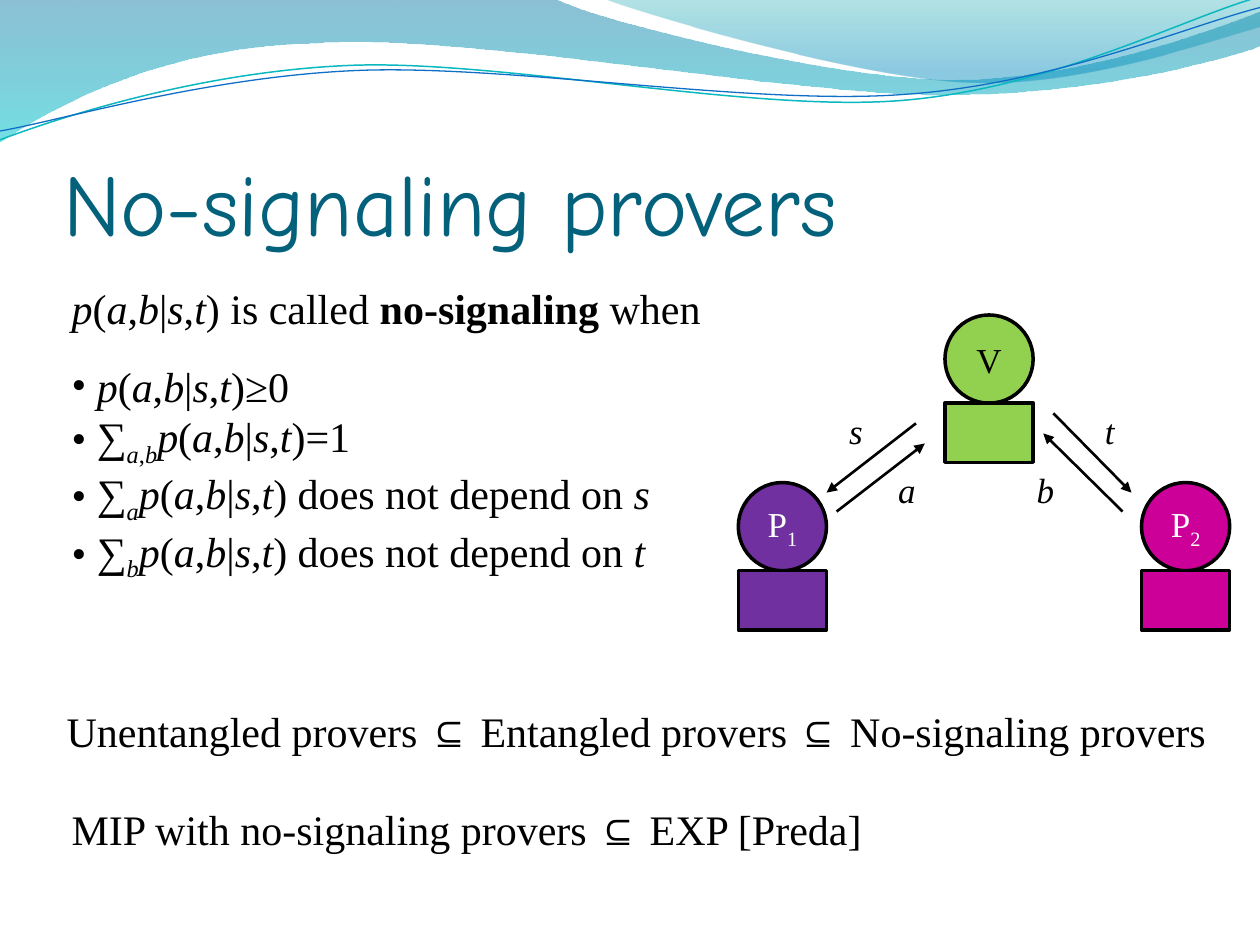
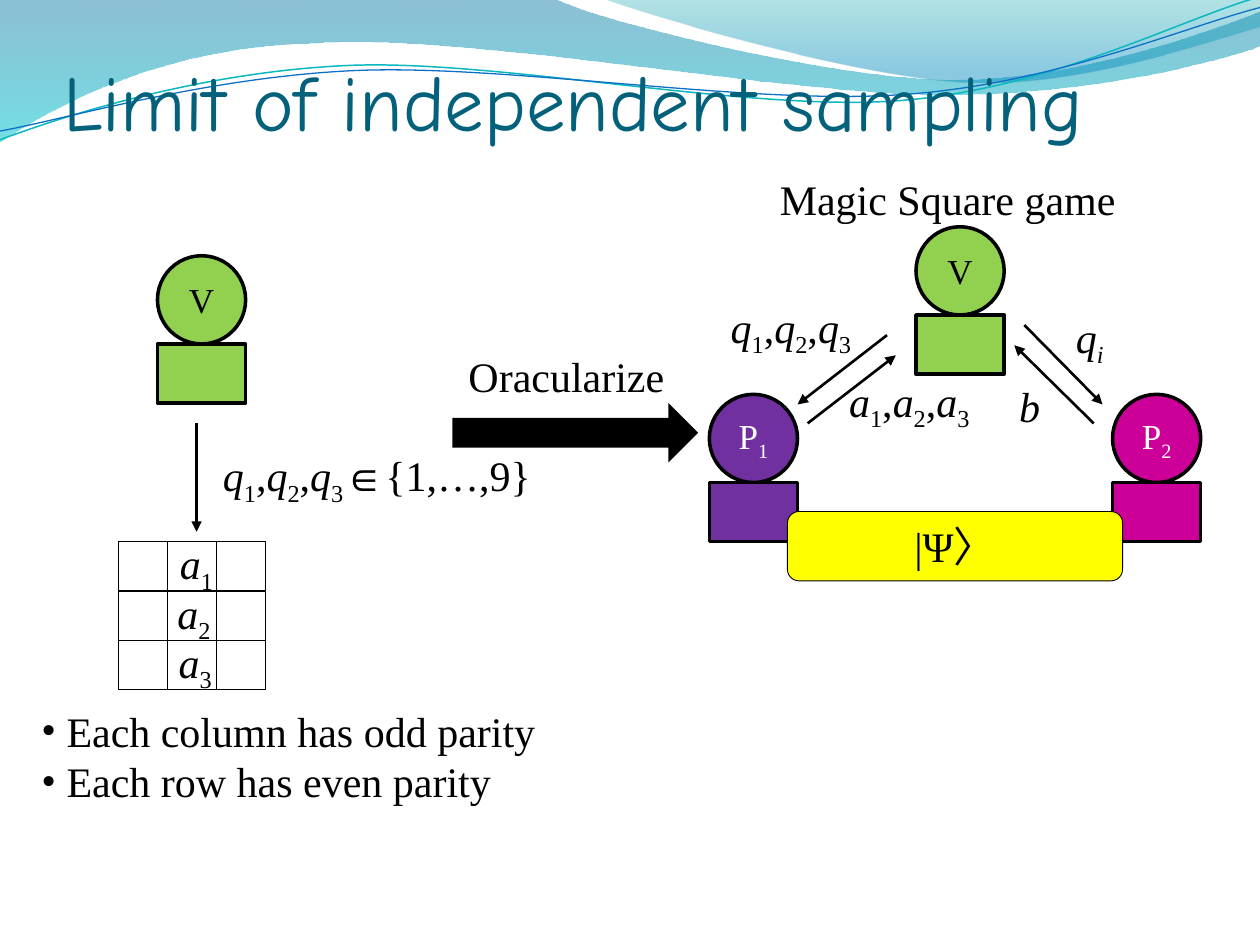
"""Build two slides on no-signaling provers and the limit of independent sampling."""
from dataclasses import dataclass
from typing import Any, NamedTuple

from lxml import etree
from pptx import Presentation
from pptx.dml.color import RGBColor
from pptx.enum import shapes, text
from pptx.oxml import ns
from pptx.util import Inches, Pt

BLACK = RGBColor(0x00, 0x00, 0x00)
WHITE = RGBColor(0xFF, 0xFF, 0xFF)
GREEN = RGBColor(0x92, 0xD0, 0x50)
PURPLE = RGBColor(0x70, 0x30, 0xA0)
MAGENTA = RGBColor(0xCC, 0x00, 0x99)
YELLOW = RGBColor(0xFF, 0xFF, 0x00)
TITLE_BLUE = RGBColor(0x04, 0x61, 0x7B)
WAVE_BLUE = RGBColor(0x00, 0x74, 0xA1)
WAVE_AQUA = RGBColor(0x00, 0xC6, 0xCF)
CREST_TEAL = RGBColor(0x00, 0xA1, 0xA9)
CREST_BLUE = RGBColor(0x00, 0x8B, 0xBF)
LINE_TEAL = RGBColor(0x0A, 0xB8, 0xBF)
LINE_BLUE = RGBColor(0x0F, 0x6F, 0xC6)

BODY_FONT = "Times New Roman"
TITLE_FONT = "Comic Neue"
CELL = 0.39
HEAD = 0.7
BODY = 0.47
BULLET_INDENT = 0.2
FIT_TEXT = {"word_wrap": False, "auto_size": text.MSO_AUTO_SIZE.SHAPE_TO_FIT_TEXT}
CENTERED = {"vertical_anchor": text.MSO_ANCHOR.MIDDLE}
TITLE_FRAME = {"vertical_anchor": text.MSO_ANCHOR.BOTTOM, "word_wrap": True,
               "auto_size": text.MSO_AUTO_SIZE.NONE, "margin_left": 0,
               "margin_top": Inches(0.05), "margin_right": 0, "margin_bottom": 0}


class GradientStop(NamedTuple):
    """A colour at a position, with its opacity in percent."""
    position: float
    color: RGBColor
    opacity: int


@dataclass(frozen=True)
class Wave:
    """An outline of points; each segment is one point (line) or three (curve)."""
    start: tuple[float, float]
    segments: list[tuple[float, ...]]
    stops: tuple[GradientStop, ...] = ()
    color: RGBColor | None = None
    width: float = 0


@dataclass(frozen=True)
class Person:
    """A verifier or prover: a labelled head on a body."""
    label: str
    fill: RGBColor
    ink: RGBColor
    dx: float = 0
    dy: float = 0


class Arrow(NamedTuple):
    """A message from one point to another."""
    x1: float
    y1: float
    x2: float
    y2: float


class Label(NamedTuple):
    """Marked-up lines at a place: * italic, _ subscript, ^ bold."""
    left: float
    top: float
    width: float
    lines: tuple[str, ...]
    size: int = 24
    bulleted: bool = False


WAVES = (
    Wave((0, 0), [(4.4, -0.01), (4.76, 0.17, 6.64, 0.63, 7.58, 0.63),
                  (8.53, 0.63, 9.58, 0.26, 10, 0.09), (10.01, 0.36),
                  (9.83, 0.44, 8.7, 0.76, 7.46, 0.75), (6.22, 0.75, 3.82, 0.28, 2.57, 0.34),
                  (1.29, 0.36, 0.46, 0.83, -0.01, 1.13), (0, 0)],
         stops=(GradientStop(0, WAVE_BLUE, 45), GradientStop(1, WAVE_AQUA, 55))),
    Wave((4.79, -0.01), [(5.09, 0.11, 6.82, 0.62, 7.69, 0.65),
                         (8.56, 0.69, 9.61, 0.32, 10, 0.21), (10, 0), (4.79, -0.01)],
         stops=(GradientStop(0, CREST_TEAL, 30), GradientStop(0.8, CREST_BLUE, 45))),
    Wave((0, 1.11), [(0.48, 0.93, 1.58, 0.57, 2.77, 0.52), (3.95, 0.47, 5.93, 0.89, 7.13, 0.8),
                     (8.33, 0.71, 9.38, 0.15, 9.98, -0.02)], color=LINE_TEAL, width=0.85),
    Wave((0, 1.04), [(0.47, 0.96, 1.64, 0.61, 2.83, 0.56), (4.03, 0.51, 5.97, 0.84, 7.17, 0.75),
                     (8.36, 0.67, 9.41, 0.21, 10, 0.06)], color=LINE_BLUE, width=0.75),
)
VERIFIER = Person("V", GREEN, BLACK)
PLAYERS = (VERIFIER, Person("P_1_", PURPLE, WHITE, -1.64, 1.33),
           Person("P_2_", MAGENTA, WHITE, 1.56, 1.33))
MESSAGES = (Arrow(-0.23, 0.86, -0.94, 1.41), Arrow(0.86, 0.78, 1.48, 1.41),
            Arrow(-0.86, 1.56, -0.16, 1.02), Arrow(1.41, 1.56, 0.78, 0.94))
STRATEGY = "*p*(*a*,*b*|*s*,*t*)"
QUESTIONS = "*q*_1_,*q*_2_,*q*_3_"

NO_SIGNALING_LABELS = (
    Label(6.64, 3.2, 0.31, ("*s*",), 20),
    Label(8.67, 3.2, 0.28, ("*t*",), 20),
    Label(7.03, 3.67, 0.34, ("*a*",), 20),
    Label(8.13, 3.67, 0.34, ("*b*",), 20),
    Label(0.47, 2.19, 5.24, (f"{STRATEGY} is called ^no-signaling^ when",)),
    Label(0.47, 2.81, 4.87, (f"{STRATEGY}≥0", f"∑_*a*,*b*_{STRATEGY}=1",
                             f"∑_*a*_{STRATEGY} does not depend on *s*",
                             f"∑_*b*_{STRATEGY} does not depend on *t*"), bulleted=True),
    Label(0.47, 6.33, 6.53, ("MIP with no-signaling provers ⊆ EXP [Preda]",)),
    Label(0.43, 5.55, 9.41, ("Unentangled provers ⊆ Entangled provers ⊆ No-signaling provers",)),
)
SAMPLING_LABELS = (
    Label(5.7, 2.34, 1.21, (QUESTIONS,)),
    Label(8.44, 2.42, 0.43, ("*q*_*i*_",)),
    Label(6.64, 2.93, 1.21, ("*a*_1_,*a*_2_,*a*_3_",)),
    Label(7.99, 2.97, 0.37, ("*b*",)),
    Label(6.09, 1.33, 2.89, ("Magic Square game",)),
    Label(1.33, 4.22, 0.48, ("*a*_1_",)),
    Label(1.31, 4.61, 0.48, ("*a*_2_",)),
    Label(1.32, 5, 0.48, ("*a*_3_",)),
    Label(3.62, 2.73, 1.77, ("Oracularize",)),
    Label(1.67, 3.52, 2.71, (f"{QUESTIONS}∈{{1,…,9}}",)),
    Label(0.23, 5.55, 4.16, ("Each column has odd parity", "Each row has even parity"),
          bulleted=True),
)


def apply_format(target: Any, values: dict[str, Any]) -> None:
    """Set each named attribute of the target."""
    for name, value in values.items():
        setattr(target, name, value)


def write_line(paragraph: Any, markup: str, size: int, color: RGBColor,
               font: str = BODY_FONT) -> None:
    """Write marked-up words as runs."""
    styles = {"*": False, "_": False, "^": False}
    words = ""
    for symbol in markup + "^":
        if symbol not in styles:
            words += symbol
            continue
        if words:
            run = paragraph.add_run()
            run.text = words
            apply_format(run.font, {"name": font, "size": Pt(size),
                                    "italic": styles["*"], "bold": styles["^"]})
            run.font.color.rgb = color
            if styles["_"]:
                run.font._element.set("baseline", "-25000")
        words = ""
        styles[symbol] = not styles[symbol]


def add_bullets(shape: Any) -> None:
    """Give every paragraph of the shape a hanging bullet."""
    for paragraph in shape.element.iter(ns.qn("a:p")):
        properties = paragraph.get_or_add_pPr()
        properties.set("marL", str(Inches(BULLET_INDENT)))
        properties.set("indent", str(-Inches(BULLET_INDENT)))
        etree.SubElement(properties, ns.qn("a:buFont")).set("typeface", BODY_FONT)
        etree.SubElement(properties, ns.qn("a:buChar")).set("char", "•")


def add_label(slide: Any, label: Label) -> None:
    """Add a text box that fits its lines."""
    height = 0.1 + 0.4 * len(label.lines)
    box = slide.shapes.add_textbox(*map(Inches, (label.left, label.top, label.width, height)))
    frame = box.text_frame
    apply_format(frame, FIT_TEXT)
    for index, line in enumerate(label.lines):
        paragraph = frame.add_paragraph() if index else frame.paragraphs[0]
        write_line(paragraph, line, label.size, BLACK)
    if label.bulleted:
        add_bullets(box)


def add_block(parent: Any, kind: Any, place: tuple[float, ...], fill: RGBColor | None = None,
              width: float = 0) -> Any:
    """Add a preset shape with an optional fill and black outline."""
    shape = parent.shapes.add_shape(kind, *map(Inches, place))
    shape.shadow.inherit = False
    if fill is None:
        shape.fill.background()
    else:
        shape.fill.solid()
        shape.fill.fore_color.rgb = fill
    if width:
        shape.line.color.rgb = BLACK
        shape.line.width = Pt(width)
    else:
        shape.line.fill.background()
    return shape


def write_centered(shape: Any, markup: str, size: int, color: RGBColor, wrap: bool) -> None:
    """Write one centred line inside a shape."""
    apply_format(shape.text_frame, {**CENTERED, "word_wrap": wrap})
    paragraph = shape.text_frame.paragraphs[0]
    paragraph.alignment = text.PP_ALIGN.CENTER
    write_line(paragraph, markup, size, color)


def add_person(slide: Any, person: Person, left: float, top: float) -> None:
    """Add a grouped head and body, offset from the verifier's corner."""
    x, y = left + person.dx, top + person.dy
    group = slide.shapes.add_group_shape()
    head = add_block(group, shapes.MSO_SHAPE.OVAL, (x, y, HEAD, HEAD), person.fill, 2)
    write_centered(head, person.label, 20, person.ink, False)
    add_block(group, shapes.MSO_SHAPE.RECTANGLE, (x, y + HEAD, HEAD, BODY), person.fill, 2)


def add_arrow(slide: Any, arrow: Arrow, left: float = 0, top: float = 0) -> None:
    """Add a straight arrow with a triangle at its end."""
    ends = (arrow.x1 + left, arrow.y1 + top, arrow.x2 + left, arrow.y2 + top)
    connector = slide.shapes.add_connector(shapes.MSO_CONNECTOR.STRAIGHT, *map(Inches, ends))
    connector.line.color.rgb = BLACK
    connector.line.width = Pt(1.5)
    properties = connector.element.spPr
    etree.SubElement(properties.find(ns.qn("a:ln")), ns.qn("a:tailEnd")).set("type", "triangle")
    etree.SubElement(properties, ns.qn("a:effectLst"))


def add_game(slide: Any, left: float, top: float) -> None:
    """Add a verifier, two provers and their messages."""
    for arrow in MESSAGES:
        add_arrow(slide, arrow, left, top)
    for person in PLAYERS:
        add_person(slide, person, left, top)


def bend(shape: Any, wave: Wave) -> None:
    """Merge each three lines that stand for a curve into one Bézier segment."""
    lines = iter(list(shape.element.iter(ns.qn("a:lnTo"))))
    for segment in wave.segments:
        controls = [next(lines) for _ in range(len(segment) // 2)]
        if len(controls) == 3:
            curve = etree.Element(ns.qn("a:cubicBezTo"))
            controls[0].addprevious(curve)
            for line in controls:
                curve.append(line[0])
                line.getparent().remove(line)


def add_waves(slide: Any, master: Any) -> None:
    """Draw the header waves and place them behind everything on the master."""
    for index, wave in enumerate(WAVES):
        builder = slide.shapes.build_freeform(*map(Inches, wave.start))
        points = [tuple(map(Inches, segment[start:start + 2]))
                  for segment in wave.segments for start in range(0, len(segment), 2)]
        builder.add_line_segments(points, close=bool(wave.stops))
        shape = builder.convert_to_shape()
        bend(shape, wave)
        shape.shadow.inherit = False
        if wave.stops:
            shape.line.fill.background()
            shape.fill.gradient()
            shape.fill.gradient_angle = 270
            for target, stop in zip(shape.fill.gradient_stops, wave.stops):
                target.position = stop.position
                target.color.rgb = stop.color
            for color, stop in zip(shape.element.iter(ns.qn("a:srgbClr")), wave.stops):
                etree.SubElement(color, ns.qn("a:alpha")).set("val", str(stop.opacity * 1000))
        else:
            shape.fill.background()
            shape.line.color.rgb = wave.color
            shape.line.width = Pt(wave.width)
        master.shapes.element.insert(2 + index, shape.element)


def add_titled_slide(presentation: Any, title: str, top: float, size: int) -> Any:
    """Add a slide and style its title."""
    slide = presentation.slides.add_slide(presentation.slide_layouts.get_by_name("Title Only"))
    place = zip(("left", "top", "width", "height"), map(Inches, (0.5, top, 9, 1.25)))
    apply_format(slide.shapes.title, dict(place))
    frame = slide.shapes.title.text_frame
    apply_format(frame, TITLE_FRAME)
    frame.paragraphs[0].alignment = text.PP_ALIGN.LEFT
    write_line(frame.paragraphs[0], title, size, TITLE_BLUE, TITLE_FONT)
    return slide


def main() -> None:
    """Build and save the presentation."""
    presentation = Presentation()
    apply_format(presentation, {"slide_width": Inches(10), "slide_height": Inches(7.5)})
    provers = add_titled_slide(presentation, "No-signaling provers", 0.77, 50)
    add_waves(provers, presentation.slide_master)
    add_game(provers, 7.5, 2.5)
    for label in NO_SIGNALING_LABELS:
        add_label(provers, label)
    sampling = add_titled_slide(presentation, "Limit of independent sampling", -0.08, 45)
    add_game(sampling, 7.27, 1.8)
    add_person(sampling, VERIFIER, 1.25, 2.03)
    add_arrow(sampling, Arrow(1.56, 3.36, 1.56, 4.22))
    for cell in range(9):
        row, column = divmod(cell, 3)
        place = (0.94 + column * CELL, 4.3 + row * CELL, CELL, CELL)
        add_block(sampling, shapes.MSO_SHAPE.RECTANGLE, place, width=0.5)
    add_block(sampling, shapes.MSO_SHAPE.RIGHT_ARROW, (3.59, 3.2, 1.95, 0.47), BLACK)
    state = add_block(sampling, shapes.MSO_SHAPE.ROUNDED_RECTANGLE, (6.25, 4.06, 2.66, 0.55),
                      YELLOW, 0.5)
    write_centered(state, "|Ψ〉", 24, BLACK, True)
    for label in SAMPLING_LABELS:
        add_label(sampling, label)
    presentation.save("out.pptx")


if __name__ == "__main__":
    main()
